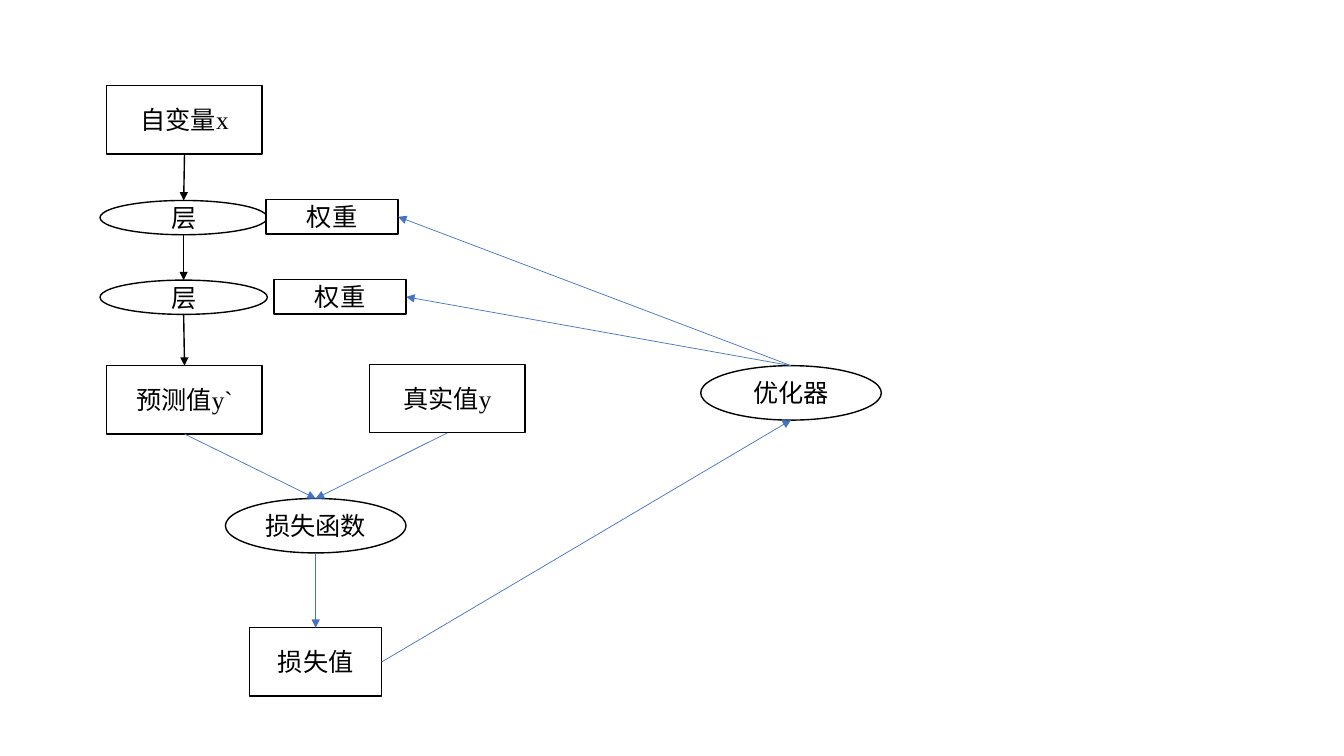
import pptx
import pptx.util
import pptx.dml.color
import pptx.enum.shapes
import pptx.enum.text
import pptx.oxml.ns
from lxml import etree

Pt = pptx.util.Pt
RGB = pptx.dml.color.RGBColor.from_string
SHAPE = pptx.enum.shapes.MSO_SHAPE
qn = pptx.oxml.ns.qn

THEME = {
    "font": "Times New Roman", "size": 18,
    "ink": "000000", "paper": "FFFFFF", "accent": "4472C4",
    "outline": 1, "thin": 0.5,
}

KINDS = {
    "value": (SHAPE.RECTANGLE, 111, 48.8),
    "loss": (SHAPE.RECTANGLE, 94.4, 48.8),
    "weight": (SHAPE.RECTANGLE, 94.4, 24.5),
    "layer": (SHAPE.OVAL, 119.5, 24.5),
    "process": (SHAPE.OVAL, 129, 38.9),
}

VALUE_X, LAYER_X, LOSS_X = 131.8, 131.2, 225.5

NODES = {
    "input": ("自变量x", "value", VALUE_X, 61.2),
    "layer 1": ("层", "layer", LAYER_X, 143.2),
    "layer 2": ("层", "layer", LAYER_X, 200.1),
    "prediction": ("预测值y`", "value", VALUE_X, 261.2),
    "target": ("真实值y", "value", 319.6, 260.4),
    "loss value": ("损失值", "loss", LOSS_X, 448.4),
    "optimizer": ("优化器", "process", 565, 261.2),
    "loss function": ("损失函数", "process", LOSS_X, 356.1),
    "weight 2": ("权重", "weight", 243, 199.8),
    "weight 1": ("权重", "weight", 237.2, 142.6),
}

FORWARD = ("ink", "outline")
FEEDBACK = ("accent", "thin")
ARROWS = [
    ("input", "bottom", "layer 1", "top", FORWARD),
    ("layer 1", "bottom", "layer 2", "top", FORWARD),
    ("layer 2", "bottom", "prediction", "top", FORWARD),
    ("prediction", "bottom", "loss function", "top", FEEDBACK),
    ("target", "bottom", "loss function", "top", FEEDBACK),
    ("loss function", "bottom", "loss value", "top", FEEDBACK),
    ("loss value", "right", "optimizer", "bottom", FEEDBACK),
    ("optimizer", "top", "weight 1", "right", FEEDBACK),
    ("optimizer", "top", "weight 2", "right", FEEDBACK),
]

SIDES = {"top": (0.5, 0), "bottom": (0.5, 1), "right": (1, 0.5)}
SITES = {
    SHAPE.RECTANGLE: {"top": 0, "bottom": 2, "right": 3},
    SHAPE.OVAL: {"top": 0, "bottom": 4, "right": 6},
}


def add_node(s, text, kind, center, top):
    preset, width, height = KINDS[kind]
    sp = s.shapes.add_shape(preset, Pt(center - width / 2), Pt(top), Pt(width), Pt(height))
    sp.shadow.inherit = False
    sp.fill.solid()
    sp.fill.fore_color.rgb = RGB(THEME["paper"])
    sp.line.color.rgb = RGB(THEME["ink"])
    sp.line.width = Pt(THEME["outline"])
    tf = sp.text_frame
    tf.vertical_anchor = pptx.enum.text.MSO_ANCHOR.MIDDLE
    p = tf.paragraphs[0]
    p.alignment = pptx.enum.text.PP_ALIGN.CENTER
    r = p.add_run()
    r.text = text
    r.font.name = THEME["font"]
    r.font.size = Pt(THEME["size"])
    r.font.color.rgb = RGB(THEME["ink"])
    return sp


def anchor(sp, side):
    fx, fy = SIDES[side]
    return round(sp.left + sp.width * fx), round(sp.top + sp.height * fy)


def add_arrow(s, start, start_side, end, end_side, style):
    color, width = style
    cxn = s.shapes.add_connector(
        pptx.enum.shapes.MSO_CONNECTOR.STRAIGHT,
        *anchor(start, start_side), *anchor(end, end_side))
    cxn.line.color.rgb = RGB(THEME[color])
    cxn.line.width = Pt(THEME[width])
    props = cxn.element.spPr
    etree.SubElement(props.find(qn("a:ln")), qn("a:tailEnd"), type="triangle")
    etree.SubElement(props, qn("a:effectLst"))
    glue = cxn.element.nvCxnSpPr.cNvCxnSpPr
    for tag, sp, side in (("a:stCxn", start, start_side), ("a:endCxn", end, end_side)):
        site = SITES[sp.auto_shape_type][side]
        etree.SubElement(glue, qn(tag), id=str(sp.shape_id), idx=str(site))


prs = pptx.Presentation()
prs.slide_width, prs.slide_height = Pt(960), Pt(540)
s = prs.slides.add_slide(prs.slide_layouts[6])

nodes = {name: add_node(s, *node) for name, node in NODES.items()}
for start, start_side, end, end_side, style in ARROWS:
    add_arrow(s, nodes[start], start_side, nodes[end], end_side, style)

prs.save("out.pptx")
